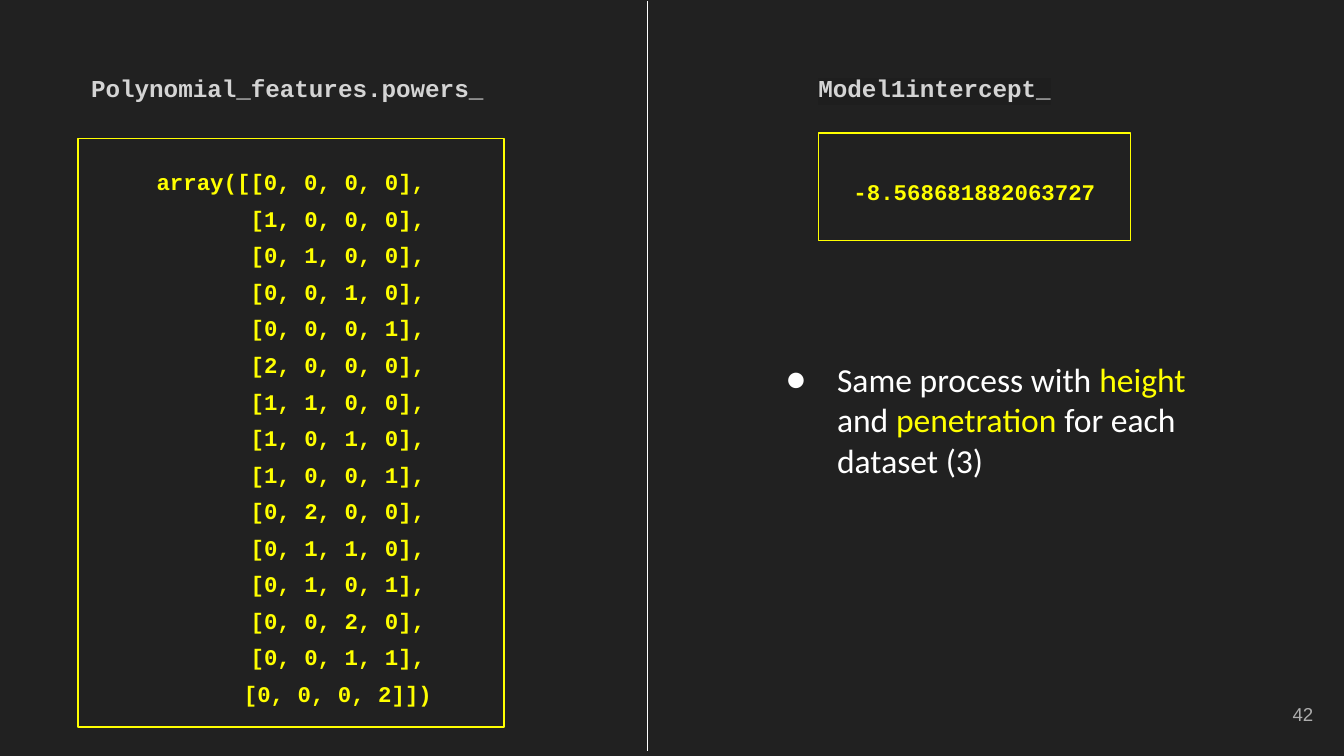
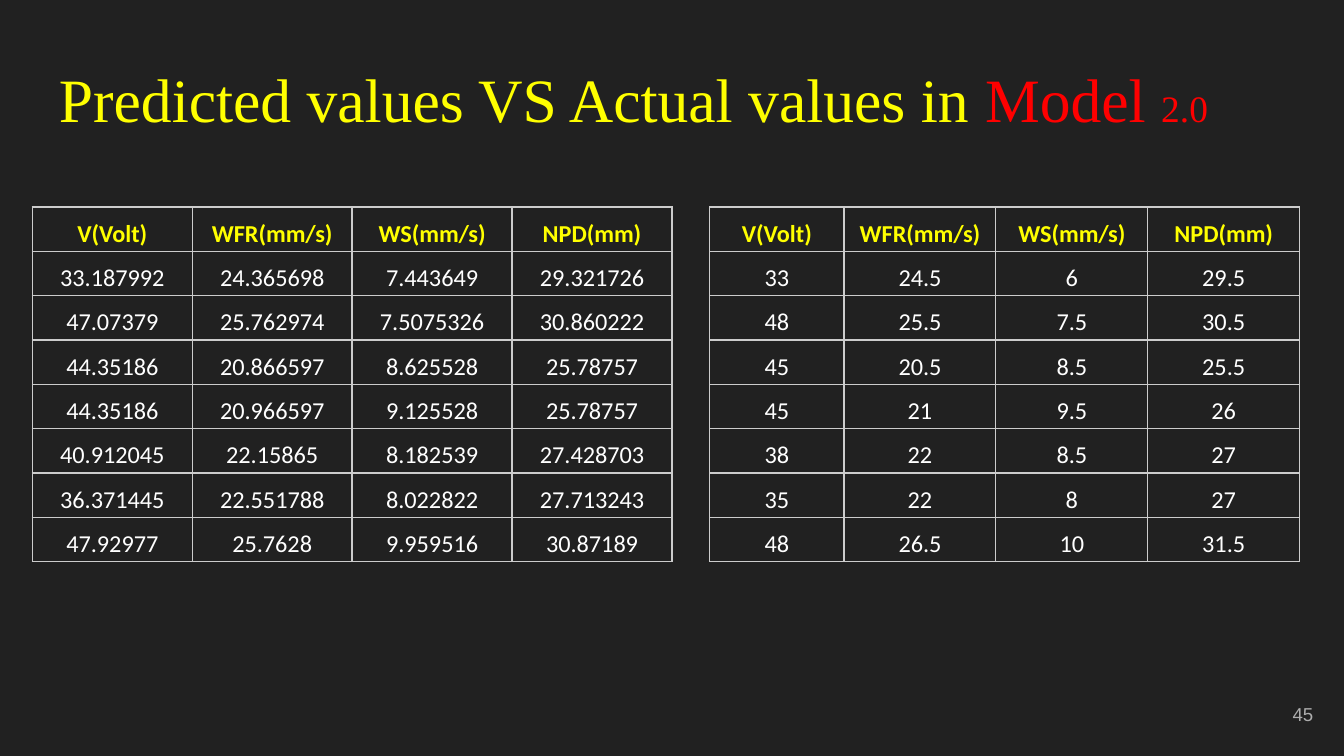
from dataclasses import dataclass

from lxml.etree import SubElement as Sub
from pptx import Presentation
from pptx.dml.color import RGBColor as RGB
from pptx.enum.shapes import MSO_CONNECTOR as Conn, MSO_SHAPE as Shape
from pptx.enum.text import MSO_ANCHOR as Anchor, PP_ALIGN as Align
from pptx.oxml import parse_xml
from pptx.oxml.ns import nsdecls, qn
from pptx.util import Inches, Pt


@dataclass(frozen=True)
class Theme:
    back: str = "212121"
    white: str = "FFFFFF"
    accent: str = "FFFF00"
    alert: str = "FF0000"
    label: str = "D4D4D4"
    shade: str = "1E1E1E"
    number: str = "ADADAD"
    grid: str = "CCCCCC"
    serif: str = "Times New Roman"
    sans: str = "Calibri"
    mono: str = "Courier New"
    foot: str = "Arial"
    title: int = 33
    minor: int = 20
    body: int = 18
    cell: int = 13
    code: int = 12
    page: int = 10
    line: float = 0.75


T = Theme()


def write(frame, text, *, font, size, color, bold=False, align=Align.LEFT,
          space=None, mark=None, new=False):
    """Write one paragraph; text is a string or a list of (string, changes)."""
    para = frame.add_paragraph() if new else frame.paragraphs[0]
    para.alignment = align
    if space:
        para.line_spacing = space
    base = dict(size=size, color=color)
    for words, change in [(text, {})] if isinstance(text, str) else text:
        look = base | change
        run = para.add_run()
        run.text = words
        run.font.size = Pt(look["size"])
        run.font.bold = bold
        run.font.color.rgb = RGB.from_string(look["color"])
        if mark:
            light = Sub(run.font._element, qn("a:highlight"))
            Sub(light, qn("a:srgbClr"), val=mark)
        run.font.name = font
    return para


class Deck:
    def __init__(self, wide, high):
        self.prs = Presentation()
        self.prs.slide_width, self.prs.slide_height = Inches(wide), Inches(high)
        fill = self.prs.slide_master.background.fill
        fill.solid()
        fill.fore_color.rgb = RGB.from_string(T.back)
        self.slide = None

    def start(self, page):
        self.slide = self.prs.slides.add_slide(self.prs.slide_layouts[6])
        self.text(page, 9.27, 5.1, 0.6, 0.43, anchor=Anchor.MIDDLE, font=T.foot,
                  size=T.page, color=T.number, align=Align.RIGHT)

    def pad(self, frame, anchor):
        frame.word_wrap = True
        frame.vertical_anchor = anchor
        frame.margin_left = frame.margin_right = Inches(0.1)
        frame.margin_top = frame.margin_bottom = Inches(0.1)
        return frame

    def text(self, text, x, y, w, h, anchor=Anchor.TOP, **fmt):
        box = self.slide.shapes.add_textbox(*map(Inches, (x, y, w, h)))
        return write(self.pad(box.text_frame, anchor), text, **fmt)

    def title(self, text):
        self.text(text, 0.34, 0.35, 9.32, 0.63, font=T.serif, size=T.title,
                  color=T.accent)

    def label(self, text, x, y, w, h, mark=None):
        self.text(text, x, y, w, h, font=T.mono, size=T.cell, color=T.label,
                  bold=True, space=1.36, mark=mark)

    def bullet(self, text, x, y, w, h):
        para = self.text(text, x, y, w, h, font=T.sans, size=T.body,
                         color=T.white)
        props = para._p.get_or_add_pPr()
        props.set("marL", str(Inches(0.5)))
        props.set("indent", str(Inches(-0.38)))
        Sub(Sub(props, qn("a:buClr")), qn("a:srgbClr"), val=T.white)
        Sub(props, qn("a:buSzPts"), val=str(T.body * 100))
        Sub(props, qn("a:buFont"), typeface=T.sans)
        Sub(props, qn("a:buChar"), char="●")

    def code(self, lines, x, y, w, h, indent=0):
        """Framed code; lines after the first are indented."""
        box = self.slide.shapes.add_shape(Shape.RECTANGLE,
                                          *map(Inches, (x, y, w, h)))
        box.shadow.inherit = False
        box.fill.background()
        self.stroke(box.line, T.accent)
        frame = self.pad(box.text_frame, Anchor.MIDDLE)
        for i, line in enumerate(lines):
            para = write(frame, line, font=T.mono, size=T.code, color=T.accent,
                         bold=True, align=Align.CENTER, space=1.36, new=i > 0)
            if i and indent:
                para._p.get_or_add_pPr().set("marL", str(Inches(indent)))

    def stroke(self, line, color):
        line.color.rgb = RGB.from_string(color)
        line.width = Pt(T.line)

    def rule(self, x1, y1, x2, y2):
        line = self.slide.shapes.add_connector(
            Conn.STRAIGHT, *map(Inches, (x1, y1, x2, y2)))
        self.stroke(line.line, T.white)
        Sub(line._element.spPr, qn("a:effectLst"))

    def table(self, rows, x, y, cols, high):
        grid = self.slide.shapes.add_table(
            len(rows), len(cols), Inches(x), Inches(y), Inches(sum(cols)),
            Inches(high * len(rows))).table
        grid.first_row = grid.horz_banding = False
        for col, wide in zip(grid.columns, cols):
            col.width = Inches(wide)
        for r, row in enumerate(rows):
            grid.rows[r].height = Inches(high)
            for c, value in enumerate(row):
                self.cell(grid.cell(r, c), value, head=r == 0)

    def cell(self, cell, value, head):
        cell.fill.background()
        cell.vertical_anchor = Anchor.BOTTOM
        cell.margin_left = cell.margin_right = Inches(0.03)
        cell.margin_top = cell.margin_bottom = Inches(0.02)
        write(cell.text_frame, value, font=T.sans, size=T.cell, bold=head,
              color=T.accent if head else T.white, align=Align.CENTER,
              space=1.15)
        props = cell._tc.get_or_add_tcPr()
        for i, side in enumerate("LRTB"):
            props.insert(i, parse_xml(
                f'<a:ln{side} {nsdecls("a")} w="{Pt(T.line)}"><a:solidFill>'
                f'<a:srgbClr val="{T.grid}"/></a:solidFill></a:ln{side}>'))


# Slide data
POWERS = """array([[0, 0, 0, 0],
[1, 0, 0, 0],
[0, 1, 0, 0],
[0, 0, 1, 0],
[0, 0, 0, 1],
[2, 0, 0, 0],
[1, 1, 0, 0],
[1, 0, 1, 0],
[1, 0, 0, 1],
[0, 2, 0, 0],
[0, 1, 1, 0],
[0, 1, 0, 1],
[0, 0, 2, 0],
[0, 0, 1, 1],
[0, 0, 0, 2]])""".splitlines()

HEAD = ["V(Volt)", "WFR(mm/s)", "WS(mm/s)", "NPD(mm)"]
GUESS = """33.187992 24.365698 7.443649 29.321726
47.07379 25.762974 7.5075326 30.860222
44.35186 20.866597 8.625528 25.78757
44.35186 20.966597 9.125528 25.78757
40.912045 22.15865 8.182539 27.428703
36.371445 22.551788 8.022822 27.713243
47.92977 25.7628 9.959516 30.87189"""
REAL = """33 24.5 6 29.5
48 25.5 7.5 30.5
45 20.5 8.5 25.5
45 21 9.5 26
38 22 8.5 27
35 22 8 27
48 26.5 10 31.5"""


def main():
    deck = Deck(10, 10 * 9 / 16)

    # Fitted powers and intercept
    deck.start("42")
    deck.label("Polynomial_features.powers_", 0.58, 0.37, 3.24, 4.89)
    deck.label("Model1intercept_", 5.99, 0.37, 3.88, 1.81, mark=T.shade)
    deck.code(POWERS, 0.58, 1.03, 3.17, 4.38, indent=0.7)
    deck.code(["-8.568681882063727"], 6.09, 0.99, 2.32, 0.8)
    hot = dict(color=T.accent)
    deck.bullet([("Same process with ", {}), ("height ", hot), ("and ", {}),
                 ("penetration ", hot), ("for each dataset (3)", {})],
                5.63, 2.57, 3.73, 1.23)
    deck.rule(4.82, 0.01, 4.82, 5.59)

    # Predicted against actual values
    deck.start("45")
    red = dict(color=T.alert)
    deck.title([("Predicted values VS Actual values in ", {}), ("Model ", red),
                ("2.0", red | dict(size=T.minor))])
    for data, x, cols in ((GUESS, 0.24, [1.19] * 4),
                          (REAL, 5.28, [1] + [1.13] * 3)):
        rows = [HEAD] + [line.split() for line in data.splitlines()]
        deck.table(rows, x, 1.54, cols, 0.33)

    deck.prs.save("out.pptx")


if __name__ == "__main__":
    main()
